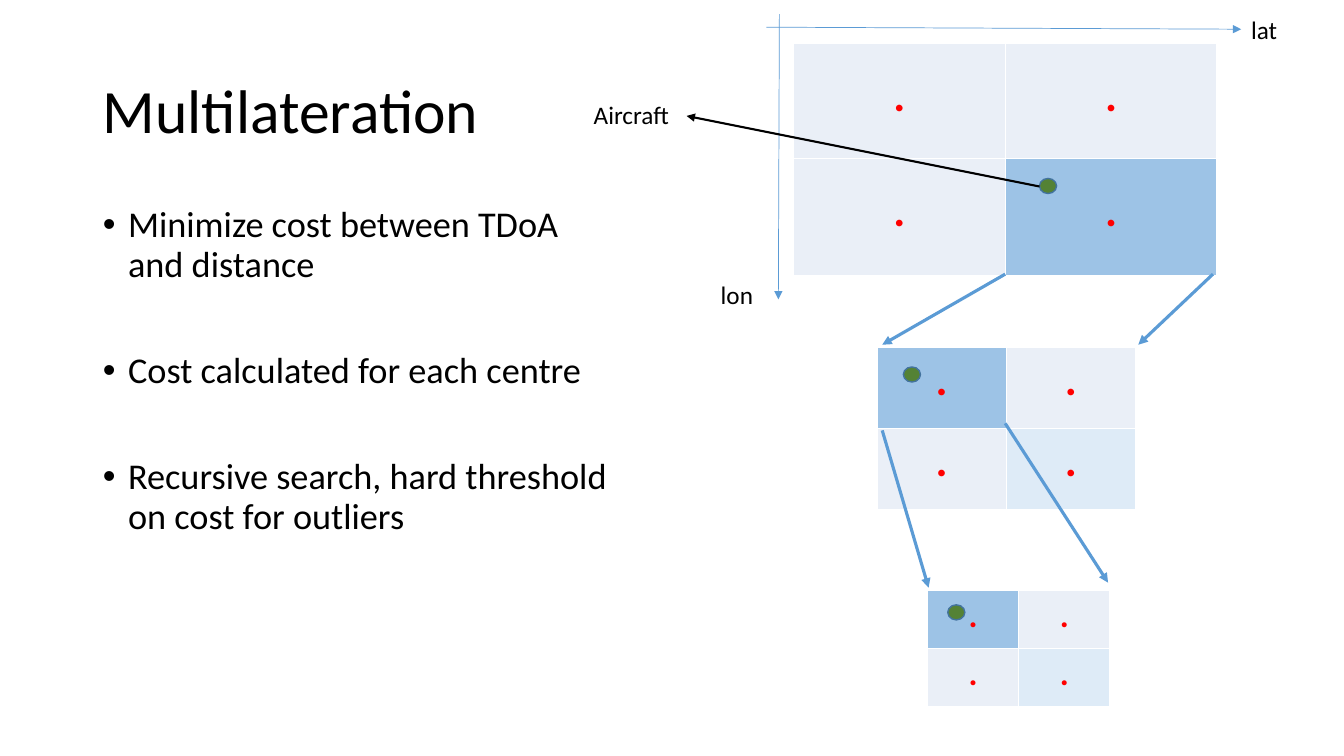
from lxml import etree
from pptx import Presentation
from pptx.dml.color import RGBColor
from pptx.enum.shapes import MSO_CONNECTOR, MSO_SHAPE
from pptx.enum.text import MSO_ANCHOR, MSO_AUTO_SIZE, PP_ALIGN
from pptx.oxml.ns import qn
from pptx.util import Inches, Pt

LINE = MSO_CONNECTOR.STRAIGHT
OVAL = MSO_SHAPE.OVAL
MIDDLE, TOP = MSO_ANCHOR.MIDDLE, MSO_ANCHOR.TOP
LEFT, CENTER = PP_ALIGN.LEFT, PP_ALIGN.CENTER
FIXED = MSO_AUTO_SIZE.NONE

COLORS = {
    "black": "000000", "white": "FFFFFF", "red": "FF0000", "blue": "5B9BD5",
    "pale": "EAEFF7", "soft": "DEEBF7", "hit": "9DC3E6",
    "plane": "548235", "rim": "43739E",
}
BULLETS = [
    "Minimize cost between TDoA and distance",
    "Cost calculated for each centre",
    "Recursive search, hard threshold on cost for outliers",
]
# place, row heights, dot size, top margin, cell colours
GRIDS = [
    ((7.87, 0.43, 4.2, 2.3), (1.14, 1.16), 32, 0.25, ("pale", "pale", "pale", "hit")),
    ((8.7, 3.45, 2.56, 1.61), (0.8, 0.81), 32, 0.05, ("hit", "pale", "pale", "soft")),
    ((9.2, 5.86, 1.81, 1.15), (0.57, 0.58), 24, 0.05, ("hit", "pale", "pale", "soft")),
]
PLANES = [(10.31, 1.77), (8.96, 3.64), (9.4, 6)]
ZOOMS = [
    ((9.97, 2.72), (8.75, 3.42)), ((12.03, 2.72), (11.29, 3.42)),
    ((9.97, 4.2), (10.99, 5.78)), ((8.75, 4.27), (9.21, 5.83)),
]
AXES = [((7.6, 0.27), (12.31, 0.29)), ((7.73, 0.14), (7.72, 2.97))]
LABELS = [
    ("lon", (7.05, 2.72, 0.55, 0.4), True),
    ("lat", (12.31, 0.09, 0.55, 0.4), True),
    ("Aircraft", (5.79, 0.94, 1.02, 0.4), False),
]


def rgb(name):
    return RGBColor.from_string(COLORS[name])


def apply(item, **values):
    for name, value in values.items():
        setattr(item, name, value)


def write(para, text, size, color="black", **style):
    run = para.add_run()
    run.text = text
    apply(run.font, name="Calibri", size=Pt(size), **style)
    run.font.color.rgb = rgb(color)


def place(shape, box):
    left, top, width, height = map(Inches, box)
    apply(shape, left=left, top=top, width=width, height=height)


def add_title(slide):
    title = slide.shapes.title
    place(title, (0.92, 0.4, 11.5, 1.45))
    apply(title.text_frame, vertical_anchor=MIDDLE, auto_size=FIXED)
    para = title.text_frame.paragraphs[0]
    apply(para, alignment=LEFT, line_spacing=0.9)
    write(para, "Multilateration", 44)


def add_list(slide):
    body = slide.placeholders[1]
    place(body, (0.92, 2, 5.29, 3.55))
    frame = body.text_frame
    apply(frame, vertical_anchor=TOP, auto_size=FIXED)
    for i, text in enumerate(BULLETS):
        para = frame.add_paragraph() if i else frame.paragraphs[0]
        apply(para, line_spacing=0.9, space_before=Pt(48 if i else 10))
        props = para._p.get_or_add_pPr()
        props.set("marL", str(Inches(0.25)))
        props.set("indent", str(-Inches(0.25)))
        etree.SubElement(props, qn("a:buChar"), char="•")
        write(para, text, 25.9)


def add_edges(cell):
    """Draw white lines round a table cell."""
    props = cell._tc.get_or_add_tcPr()
    for side in "LRTB":
        edge = etree.SubElement(props, qn("a:ln" + side), w=str(Pt(1)))
        fill = etree.SubElement(edge, qn("a:solidFill"))
        etree.SubElement(fill, qn("a:srgbClr"), val=COLORS["white"])


def add_grid(slide, box, rows, size, top, fills):
    table = slide.shapes.add_table(2, 2, *map(Inches, box)).table
    apply(table, first_row=False, horz_banding=False)
    for row, height in zip(table.rows, rows):
        row.height = Inches(height)
    for cell, fill in zip(table.iter_cells(), fills):
        cell.margin_top = Inches(top)
        add_edges(cell)
        cell.fill.solid()
        cell.fill.fore_color.rgb = rgb(fill)
        para = cell.text_frame.paragraphs[0]
        para.alignment = CENTER
        write(para, ".", size, "red", bold=True)


def add_plane(slide, left, top):
    dot = slide.shapes.add_shape(OVAL, *map(Inches, (left, top, 0.17, 0.15)))
    dot.shadow.inherit = False
    dot.fill.solid()
    dot.fill.fore_color.rgb = rgb("plane")
    dot.line.color.rgb = rgb("rim")
    dot.line.width = Pt(1)


def add_arrow(slide, start, end, width, color="blue"):
    arrow = slide.shapes.add_connector(LINE, *map(Inches, start + end))
    arrow.line.color.rgb = rgb(color)
    arrow.line.width = Pt(width)
    etree.SubElement(arrow.line._get_or_add_ln(), qn("a:tailEnd"), type="triangle")
    etree.SubElement(arrow._element.spPr, qn("a:effectLst"))


def add_label(slide, text, box, wrap):
    frame = slide.shapes.add_textbox(*map(Inches, box)).text_frame
    frame.word_wrap = wrap
    write(frame.paragraphs[0], text, 18)


def main():
    deck = Presentation()
    apply(deck, slide_width=Inches(13.33), slide_height=Inches(7.5))
    slide = deck.slides.add_slide(deck.slide_layouts[1])
    add_title(slide)
    add_list(slide)
    for grid in GRIDS:
        add_grid(slide, *grid)
    for spot in PLANES:
        add_plane(slide, *spot)
    for start, end in ZOOMS:
        add_arrow(slide, start, end, 2.25)
    for start, end in AXES:
        add_arrow(slide, start, end, 0.5)
    for label in LABELS:
        add_label(slide, *label)
    add_arrow(slide, (10.31, 1.85), (6.81, 1.15), 1.5, "black")
    deck.save("out.pptx")


if __name__ == "__main__":
    main()
